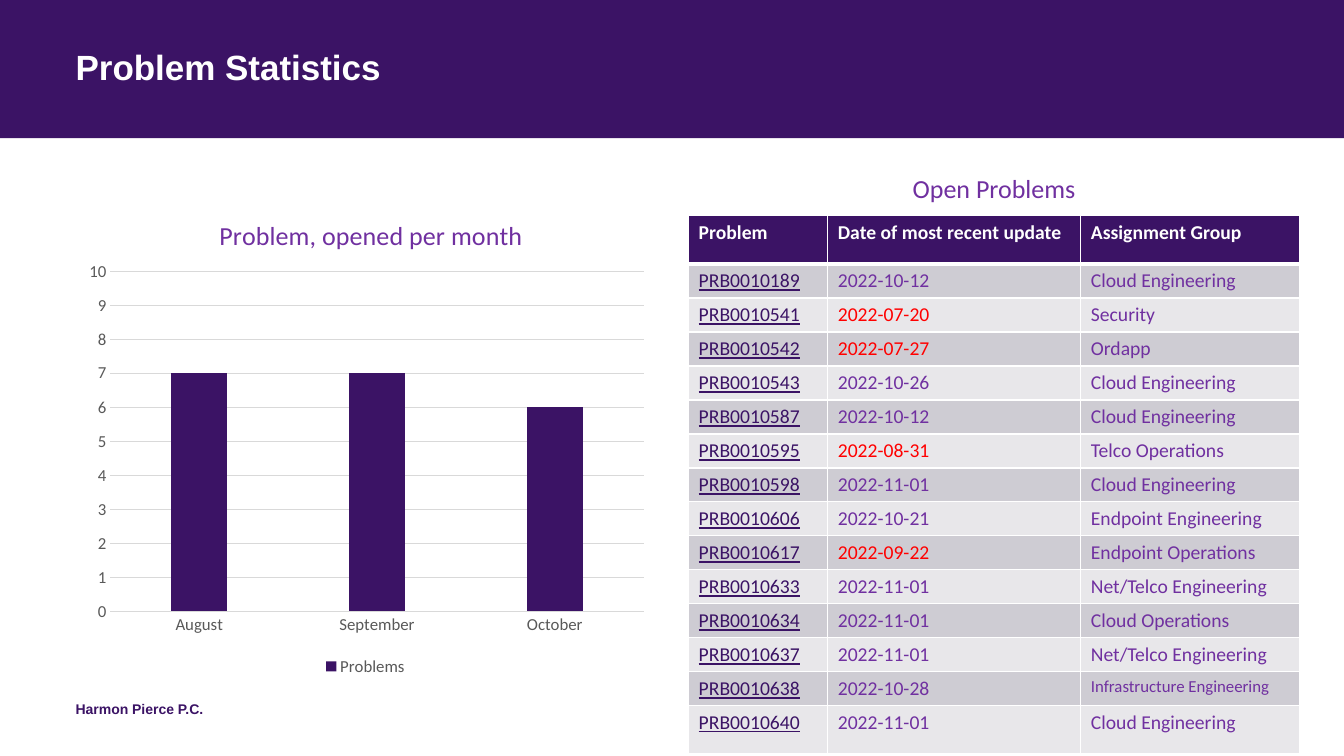
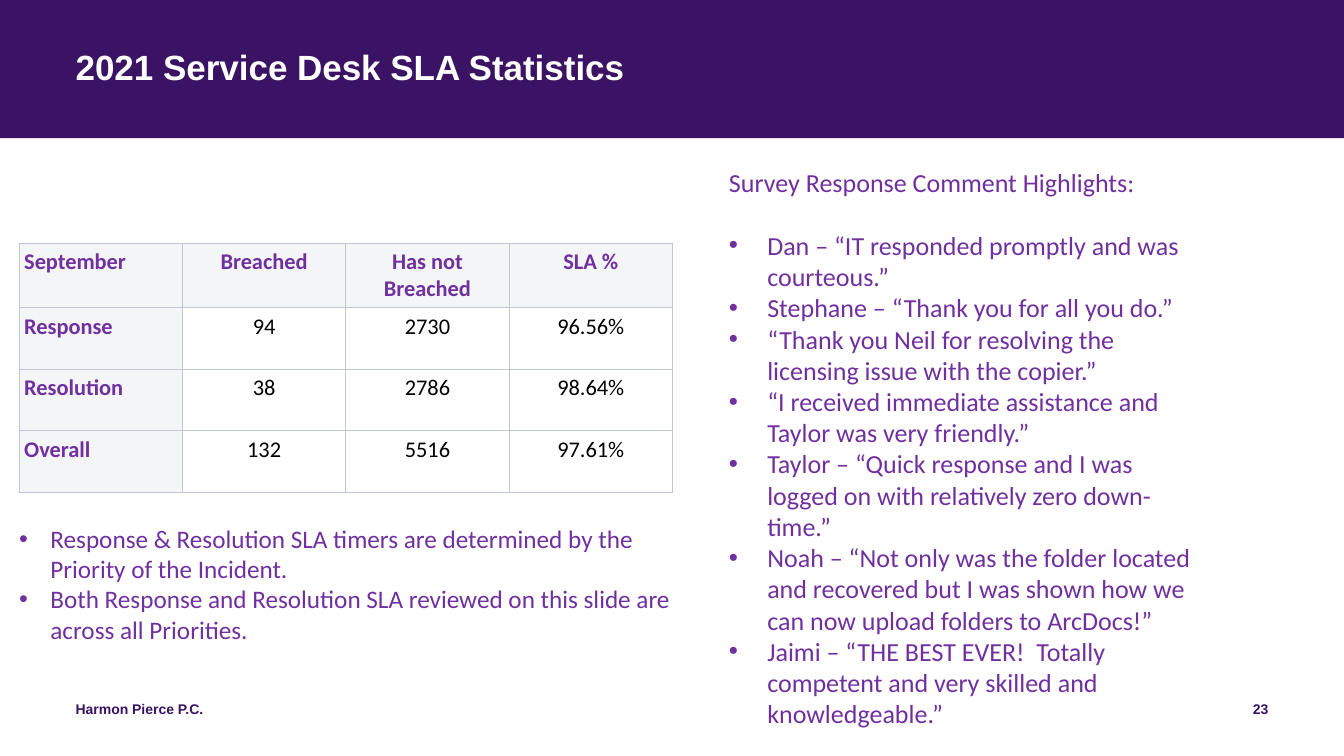
import pptx
import pptx.util
import pptx.dml.color
import pptx.chart.data
import pptx.enum.chart
import pptx.enum.shapes
import pptx.enum.text
import pptx.oxml
import pptx.oxml.ns

Inches, Pt = pptx.util.Inches, pptx.util.Pt
ALIGN = pptx.enum.text.PP_ALIGN
qn = pptx.oxml.ns.qn

# Shared look
DARK, PURPLE, WHITE, BLACK, RED = "3B1365", "7030A0", "FFFFFF", "000000", "FF0000"
GRAY, RULE = "595959", "D9D9D9"
BODY, HEAD = "Calibri", "Arial"
WIDTH, HEIGHT = 13.33, 7.5
LEFT = 0.75
FIRM = "Harmon Pierce P.C."


def rgb(color):
    return pptx.dml.color.RGBColor.from_string(color)


def node(tag, parent=None, index=None, **attrs):
    """Make an XML element and put it in its parent."""
    item = pptx.oxml.parse_xml(f"<{tag} {pptx.oxml.ns.nsdecls(tag.split(':')[0])}/>")
    for key, value in attrs.items():
        item.set(key, str(value))
    if parent is not None:
        parent.insert(len(parent) if index is None else index, item)
    return item


def style(font, size, color, name=BODY, bold=False, under=False):
    font.size, font.name, font.bold = Pt(size), name, bold
    font.color.rgb = rgb(color)
    if under:
        font.underline = True


def write(frame, lines, more=False, align=ALIGN.LEFT, inset=None, indent=None,
          spacing=1.0, after=0, **look):
    """Fill a text frame; indent turns the lines into bullets."""
    frame.word_wrap = True
    frame.auto_size = pptx.enum.text.MSO_AUTO_SIZE.NONE
    frame.vertical_anchor = pptx.enum.text.MSO_ANCHOR.TOP
    if inset is not None:
        frame.margin_left = frame.margin_right = Inches(inset)
        frame.margin_top = frame.margin_bottom = Inches(inset)
    for index, line in enumerate(lines):
        para = frame.add_paragraph() if more or index else frame.paragraphs[0]
        para.alignment, para.line_spacing = align, spacing
        para.space_before, para.space_after = Pt(0), Pt(after)
        run = para.add_run()
        run.text = line
        style(run.font, **look)
        props = para._p.get_or_add_pPr()
        props.set("marL", str(Inches(indent or 0)))
        props.set("indent", str(-Inches(indent or 0)))
        if indent:
            node("a:buFont", props, typeface="Arial")
            node("a:buChar", props, char="•")
        else:
            node("a:buNone", props)


def move(shape, box):
    shape.left, shape.top, shape.width, shape.height = map(Inches, box)
    return shape


def label(slide, box, line, **look):
    write(slide.shapes.add_textbox(*map(Inches, box)).text_frame, [line], **look)


def base(deck, layout, title):
    """Add a slide with the band, title and footer."""
    slide = deck.slides.add_slide(deck.slide_layouts[layout])
    band = slide.shapes.add_shape(pptx.enum.shapes.MSO_SHAPE.RECTANGLE, 0, 0,
                                  Inches(WIDTH), Inches(1.37))
    band.shadow.inherit = False
    band.fill.solid()
    band.fill.fore_color.rgb = rgb(DARK)
    band.line.fill.background()
    slide.shapes.element.insert(2, band.element)
    head = move(slide.shapes.title, (LEFT, 0.5, 11.83, 0.81))
    write(head.text_frame, [title], inset=0, spacing=0.9,
          size=25, color=WHITE, name=HEAD, bold=True)
    foot(slide, (LEFT, 6.95, 4.5, 0.4), FIRM)
    return slide


def foot(slide, box, line, align=ALIGN.LEFT):
    label(slide, box, line, align=align, inset=0,
          size=10, color=DARK, name=HEAD, bold=True)


def edge(cell, color, widths):
    """Draw cell borders; widths run left, right, top, bottom."""
    props = cell._tc.get_or_add_tcPr()
    for side, width in zip("LRTB", widths):
        line = node(f"a:ln{side}", props, w=Pt(width))
        node("a:srgbClr", node("a:solidFill", line), val=color)


def grid(slide, box, cols, rows, data, dress):
    """Add a table; dress(row, col, text) gives fill, border and text format."""
    table = slide.shapes.add_table(len(rows), len(cols), *map(Inches, box)).table
    table.first_row = table.horz_banding = False
    for col, width in zip(table.columns, cols):
        col.width = Inches(width)
    for row, height in zip(table.rows, rows):
        row.height = Inches(height)
    for r, line in enumerate(data):
        for c, value in enumerate(line):
            cell = table.cell(r, c)
            fill, border, inset, look = dress(r, c, value)
            edge(cell, *border)
            if fill:
                cell.fill.solid()
                cell.fill.fore_color.rgb = rgb(fill)
            else:
                cell.fill.background()
            if inset:
                cell.margin_left = cell.margin_right = Inches(inset)
                cell.margin_top = cell.margin_bottom = Inches(inset)
            write(cell.text_frame, [value], **look)
            cell.vertical_anchor = pptx.enum.text.MSO_ANCHOR.TOP


def place(parent, index, **spots):
    """Set a manual chart layout, as shares of the chart."""
    for old in parent.findall(qn("c:layout")):
        parent.remove(old)
    inner = node("c:manualLayout", node("c:layout", parent, index))
    if "w" in spots:
        node("c:layoutTarget", inner, val="inner")
    for key in "xy":
        node(f"c:{key}Mode", inner, val="edge")
    for key, value in spots.items():
        node(f"c:{key}", inner, val=value)


def bars(slide, box):
    """Column chart of problems per month."""
    kinds = pptx.enum.chart
    data = pptx.chart.data.CategoryChartData()
    data.categories = ["August", "September", "October"]
    data.add_series("Problems", [7, 7, 6])
    chart = slide.shapes.add_chart(kinds.XL_CHART_TYPE.COLUMN_CLUSTERED,
                                   *map(Inches, box), data).chart
    style(chart.font, 12, GRAY)
    chart.has_title = True
    write(chart.chart_title.text_frame, ["Problem, opened per month"],
          align=ALIGN.CENTER, size=18.6, color=PURPLE)
    place(chart.chart_title._element, 1, x=0.24, y=0.05)
    plot = chart.plots[0]
    plot.gap_width, plot.overlap, plot.vary_by_categories = 219, -27, False
    place(plot._element.getparent(), 0, x=0.06, y=0.17, w=0.92, h=0.69)
    series = plot.series[0]
    series.format.fill.solid()
    series.format.fill.fore_color.rgb = rgb(DARK)
    # Axes
    months, count = chart.category_axis, chart.value_axis
    for axis in (months, count):
        axis.major_tick_mark = axis.minor_tick_mark = kinds.XL_TICK_MARK.NONE
        style(axis.tick_labels.font, 12, GRAY)
    count.minimum_scale, count.maximum_scale, count.major_unit = 0, 10, 1
    count.format.line.fill.background()
    for line in (months.format.line, count.major_gridlines.format.line):
        line.color.rgb, line.width = rgb(RULE), Pt(0.75)
    # Legend
    chart.has_legend = True
    chart.legend.position = kinds.XL_LEGEND_POSITION.BOTTOM
    chart.legend.include_in_layout = False
    style(chart.legend.font, 12, GRAY)


PROBLEMS = [
    ("Problem", "Date of most recent update", "Assignment Group"),
    ("PRB0010189", "2022-10-12", "Cloud Engineering"),
    ("PRB0010541", "2022-07-20", "Security"),
    ("PRB0010542", "2022-07-27", "Ordapp"),
    ("PRB0010543", "2022-10-26", "Cloud Engineering"),
    ("PRB0010587", "2022-10-12", "Cloud Engineering"),
    ("PRB0010595", "2022-08-31", "Telco Operations"),
    ("PRB0010598", "2022-11-01", "Cloud Engineering"),
    ("PRB0010606", "2022-10-21", "Endpoint Engineering"),
    ("PRB0010617", "2022-09-22", "Endpoint Operations"),
    ("PRB0010633", "2022-11-01", "Net/Telco Engineering"),
    ("PRB0010634", "2022-11-01", "Cloud Operations"),
    ("PRB0010637", "2022-11-01", "Net/Telco Engineering"),
    ("PRB0010638", "2022-10-28", "Infrastructure Engineering"),
    ("PRB0010640", "2022-11-01", "Cloud Engineering"),
]


def problem(row, col, value):
    """Format of one cell in the problem table."""
    border = (WHITE, (1, 1, 3 if row == 1 else 1, 3 if row == 0 else 1))
    if row == 0:
        return DARK, border, None, dict(size=14, color=WHITE, bold=True)
    late = col == 1 and value < "2022-10"
    color = DARK if col == 0 else RED if late else PURPLE
    size = 12 if len(value) > 22 else 14
    fill = "CECCD3" if row % 2 else "E8E7EA"
    return fill, border, None, dict(size=size, color=color, under=col == 0)


def opened(slide, box):
    """Caption and table of open problems."""
    x, y, w, h = box
    rows = [0.48] + [0.32] * (len(PROBLEMS) - 2) + [0.48]
    grid(slide, (x, y + 0.48, w, h - 0.48), (1.38, 2.51, 2.17), rows, PROBLEMS, problem)
    label(slide, (x, y, w, 0.41), "Open Problems", align=ALIGN.CENTER,
          size=18.6, color=PURPLE)


LEVELS = [
    ("September", "Breached", "Has not Breached", "SLA %"),
    ("Response", "94", "2730", "96.56%"),
    ("Resolution", "38", "2786", "98.64%"),
    ("Overall", "132", "5516", "97.61%"),
]
NOTES = [
    "Response & Resolution SLA timers are determined by the Priority of the Incident.",
    "Both Response and Resolution SLA reviewed on this slide are across all Priorities.",
]
QUOTES = [
    "Dan – “IT responded promptly and was courteous.”",
    "Stephane – “Thank you for all you do.”",
    "“Thank you Neil for resolving the licensing issue with the copier.”",
    "“I received immediate assistance and Taylor was very friendly.”",
    "Taylor – “Quick response and I was logged on with relatively zero down-time.”",
    "Noah – “Not only was the folder located and recovered but I was shown how we "
    "can now upload folders to ArcDocs!”",
    "Jaimi – “THE BEST EVER!  Totally competent and very skilled and knowledgeable.”",
]


def level(row, col, value):
    """Format of one cell in the SLA table."""
    key = row == 0 or col == 0
    look = dict(size=16, color=PURPLE if key else BLACK, bold=key,
                align=ALIGN.CENTER if col else ALIGN.LEFT)
    return "F4F5F7" if key else None, ("C1C7D0", (0.5,) * 4), 0.05, look


def service(slide, box):
    """SLA table with its notes below."""
    x, y, w, h = box
    grid(slide, (x + 0.1, y, 6.48, 2.45), [1.62] * 4, [0.62] + [0.61] * 3, LEVELS, level)
    notes = move(slide.placeholders[1], (x, y + 2.73, w, h - 2.73))
    write(notes.text_frame, NOTES, indent=0.31, size=18, color=PURPLE)


def survey(slide, box):
    """Heading and quotes from the survey."""
    frame = move(slide.placeholders[2], box).text_frame
    look = dict(size=18.6, color=PURPLE)
    write(frame, ["Survey Response Comment Highlights:"], after=22.7, **look)
    write(frame, QUOTES, more=True, indent=0.38, **look)


def main():
    deck = pptx.Presentation()
    deck.slide_width, deck.slide_height = Inches(WIDTH), Inches(HEIGHT)

    # Problem statistics
    slide = base(deck, 5, "Problem Statistics")
    bars(slide, (LEFT, 1.86, 5.75, 4.89))
    opened(slide, (6.83, 1.66, 6.06, 5.76))

    # SLA statistics
    slide = base(deck, 3, "2021 Service Desk SLA Statistics")
    service(slide, (0.09, 2.41, 6.68, 4.04))
    survey(slide, (7.13, 1.6, 4.91, 5.74))
    foot(slide, (9.58, 6.95, 3, 0.4), "23", align=ALIGN.RIGHT)

    deck.save("out.pptx")


if __name__ == "__main__":
    main()
